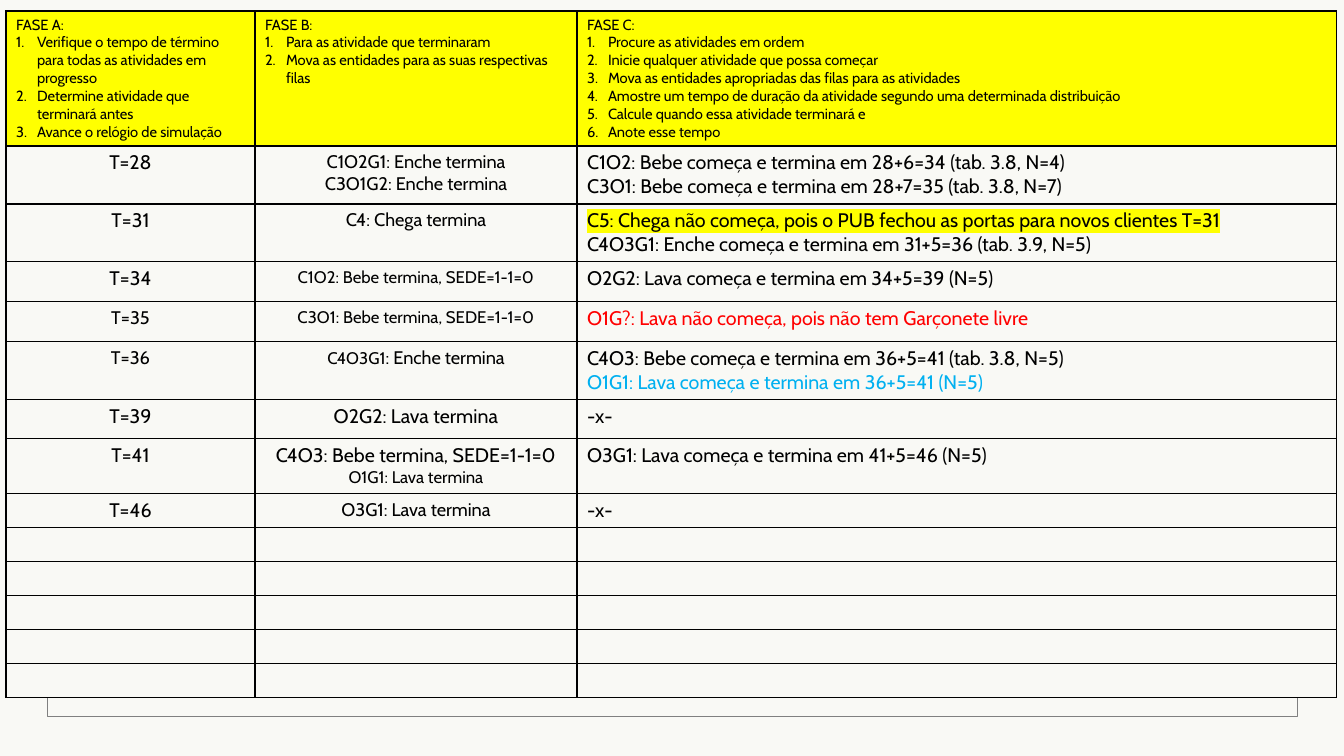
import pptx
import pptx.dml.color
import pptx.enum.shapes
import pptx.enum.text
import pptx.oxml
import pptx.oxml.ns
import pptx.util
from lxml import etree

COLORS = {
    "paper": "F9F9F5",
    "ink": "000000",
    "frame": "808080",
    "yellow": "FFFF00",
    "red": "FF0000",
    "blue": "00B0F0",
}
COL_WIDTHS = [249, 322, 760]
ROW_HEIGHTS = [135, 58, 57, 40, 40, 58, 39, 55, 34] + [34] * 5

PHASES = [
    ("FASE A:", [
        "Verifique o tempo de término para todas as atividades em progresso",
        "Determine atividade que terminará antes",
        "Avance o relógio de simulação",
    ]),
    ("FASE B:", [
        "Para as atividade que terminaram",
        "Mova as entidades para as suas respectivas filas",
    ]),
    ("FASE C:", [
        "Procure as atividades em ordem",
        "Inicie qualquer atividade que possa começar",
        "Mova as entidades apropriadas das filas para as atividades",
        "Amostre um tempo de duração da atividade segundo uma determinada distribuição",
        "Calcule quando essa atividade terminará e",
        "Anote esse tempo",
    ]),
]


def line(*texts, size=14, color="ink", highlight=None, numbered=False):
    return {"texts": texts, "size": size, "color": color,
            "highlight": highlight, "numbered": numbered}


EVENTS = [
    ([line("T=28")],
     [line("C1O2G1: Enche termina", size=13), line("C3O1G2: Enche termina", size=13)],
     [line("C1O2: Bebe começa e termina em 28+6=34 (tab. 3.8, N=4)"),
      line("C3O1: Bebe começa e termina em 28+7=35 (tab. 3.8, N=7)")]),
    ([line("T=31")],
     [line("C4: Chega termina", size=13)],
     [line("C5: Chega não começa, pois o PUB fechou as portas para novos clientes T=31",
           highlight="yellow"),
      line("C4O3G1: Enche começa e termina em 31+5=36 (tab. 3.9, N=5)")]),
    ([line("T=34")],
     [line("C1O2: Bebe termina, SEDE=1-1=0", size=12)],
     [line("O2G2: Lava começa e termina em 34+5=39 (N=5)")]),
    ([line("T=35", size=13)],
     [line("C3O1: Bebe termina, SEDE=1-1=0", size=12)],
     [line("O1G?: Lava não começa, pois não tem Garçonete livre", color="red")]),
    ([line("T=36", size=13)],
     [line(("C4O3G1", 12), (": Enche termina", 13), size=13)],
     [line("C4O3: Bebe começa e termina em 36+5=41 (tab. 3.8, N=5)"),
      line("O1G1: Lava começa e termina em 36+5=41 (N=5)", color="blue")]),
    ([line("T=39")],
     [line("O2G2: Lava termina")],
     [line("-x-")]),
    ([line("T=41")],
     [line("C4O3: Bebe termina, SEDE=1-1=0"), line("O1G1: Lava termina", size=12)],
     [line("O3G1: Lava começa e termina em 41+5=46 (N=5)")]),
    ([line("T=46")],
     [line("O3G1: Lava termina", size=13)],
     [line("-x-")]),
]


def px(n):
    return pptx.util.Emu(round(n * 914400 / 100.8))


def rgb(name):
    return pptx.dml.color.RGBColor.from_string(COLORS[name])


def add_xml(parent, tag, **attrs):
    return etree.SubElement(parent, pptx.oxml.ns.qn(tag), attrs)


class SlideBuilder:
    font = "Cabin"

    def __init__(self, prs):
        self.slide = prs.slides.add_slide(prs.slide_layouts[6])
        fill = self.slide.background.fill
        fill.solid()
        fill.fore_color.rgb = rgb("paper")

    def frame(self, x, y, w, h):
        sp = self.slide.shapes.add_shape(
            pptx.enum.shapes.MSO_SHAPE.RECTANGLE, px(x), px(y), px(w), px(h))
        sp.shadow.inherit = False
        sp.fill.background()
        sp.line.color.rgb = rgb("frame")
        sp.line.width = pptx.util.Pt(0.25)

    def table(self, x, y, widths, heights):
        table = self.slide.shapes.add_table(
            len(heights), len(widths), px(x), px(y),
            px(sum(widths)), px(sum(heights))).table
        table.first_row = False
        table.horz_banding = False
        for col, width in zip(table.columns, widths):
            col.width = px(width)
        for row, height in zip(table.rows, heights):
            row.height = px(height)
        return table

    def cell(self, cell, lines, fill, centered=False):
        tc_pr = cell._tc.get_or_add_tcPr()
        for side in ("a:lnL", "a:lnR", "a:lnT", "a:lnB"):
            border = add_xml(tc_pr, side, w="12700")
            add_xml(add_xml(border, "a:solidFill"), "a:srgbClr", val=COLORS["ink"])
        cell.fill.solid()
        cell.fill.fore_color.rgb = rgb(fill)
        tf = cell.text_frame
        for i, item in enumerate(lines):
            p = tf.add_paragraph() if i else tf.paragraphs[0]
            self.paragraph(p, item, centered)

    def paragraph(self, p, item, centered):
        if centered:
            p.alignment = pptx.enum.text.PP_ALIGN.CENTER
        if item["numbered"]:
            p_pr = p._p.get_or_add_pPr()
            p_pr.set("marL", str(px(21)))
            p_pr.set("indent", str(px(-21)))
            add_xml(p_pr, "a:buFont", typeface="+mj-lt")
            add_xml(p_pr, "a:buAutoNum", type="arabicPeriod")
        p.font.name = self.font
        p.font.size = pptx.util.Pt(item["size"])
        p.font.color.rgb = rgb(item["color"])
        for text in item["texts"]:
            r = p.add_run()
            if isinstance(text, tuple):
                r.text, size = text
                r.font.size = pptx.util.Pt(size)
            else:
                r.text = text
            if item["highlight"]:
                mark = add_xml(r._r.get_or_add_rPr(), "a:highlight")
                add_xml(mark, "a:srgbClr", val=COLORS[item["highlight"]])
        if not item["texts"]:
            end = p._p.get_or_add_endParaRPr()
            end.set("sz", str(item["size"] * 100))
            add_xml(end, "a:latin", typeface=self.font)


def main():
    prs = pptx.Presentation()
    prs.slide_width, prs.slide_height = px(1344), px(756)
    s = SlideBuilder(prs)
    s.frame(47, 40, 1250, 676)
    table = s.table(6, 11, COL_WIDTHS, ROW_HEIGHTS)

    for col, (heading, steps) in enumerate(PHASES):
        lines = [line(heading, size=10.5)]
        lines += [line(step, size=10.5, numbered=True) for step in steps]
        s.cell(table.cell(0, col), lines, "yellow")

    blanks = [([line()],) * 3] * (len(ROW_HEIGHTS) - 1 - len(EVENTS))
    for row, cells in enumerate(EVENTS + blanks, start=1):
        for col, lines in enumerate(cells):
            s.cell(table.cell(row, col), lines, "paper", centered=col < 2)

    prs.save("out.pptx")


if __name__ == "__main__":
    main()
